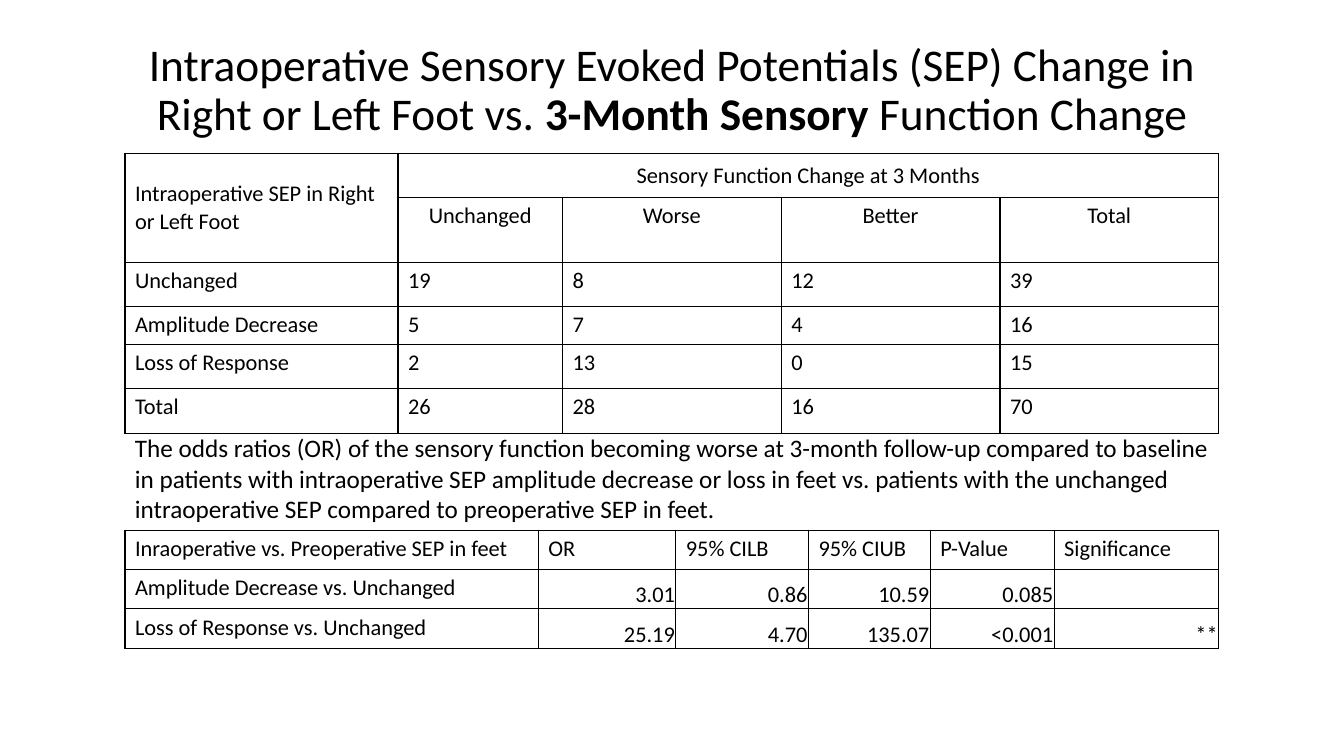
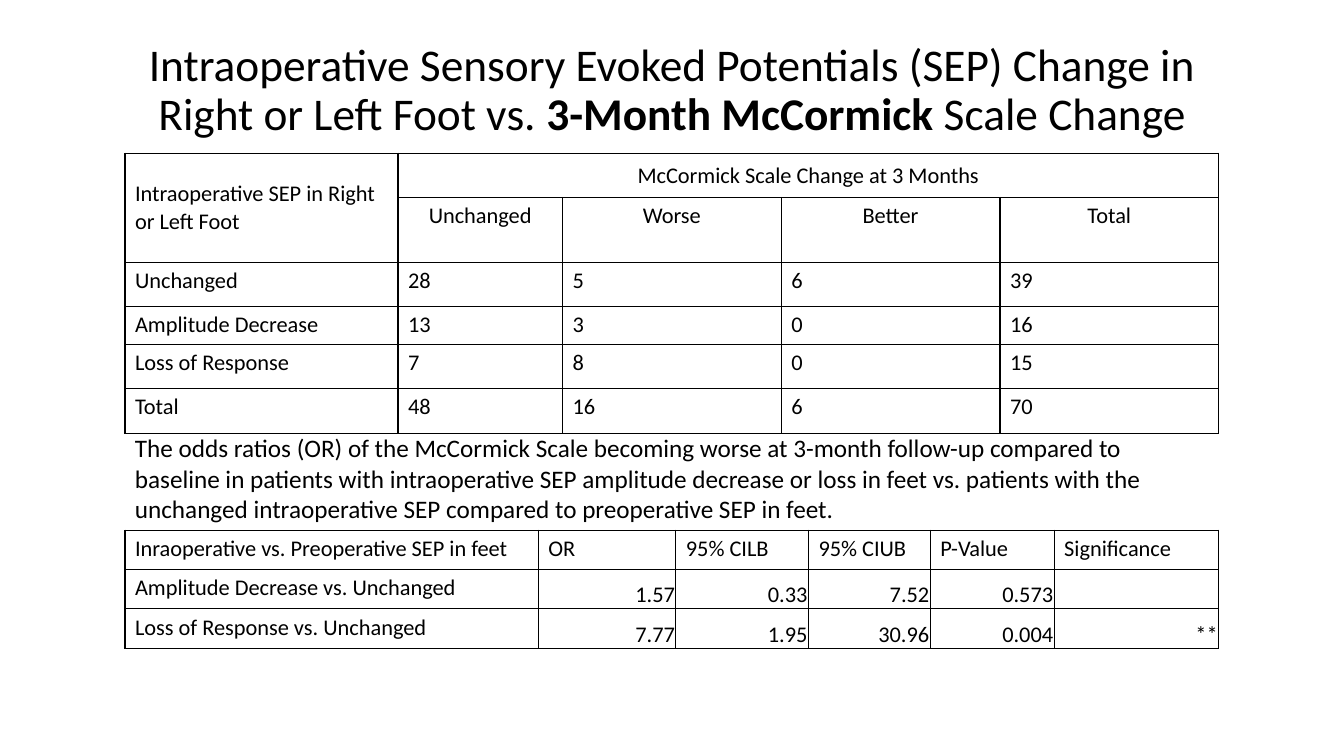
from dataclasses import dataclass

from lxml.etree import SubElement
from pptx import Presentation
from pptx.dml.color import RGBColor
from pptx.enum.text import MSO_ANCHOR as Anchor, MSO_AUTO_SIZE as AutoSize, PP_ALIGN as Align
from pptx.oxml.ns import qn
from pptx.util import Pt


@dataclass(frozen=True)
class Theme:
    font: str = "Calibri"
    ink: RGBColor = RGBColor(0, 0, 0)
    title_size: float = 32.4
    note_size: float = 18
    table_size: float = 16
    border: float = 1


class Deck:
    def __init__(self, theme):
        self.theme = theme
        self.prs = Presentation()
        self.prs.slide_width, self.prs.slide_height = Pt(960), Pt(540)
        self.slide = None

    def style(self, paragraph, size, align=Align.LEFT):
        paragraph.alignment = align
        paragraph.font.name = self.theme.font
        paragraph.font.size = Pt(size)
        paragraph.font.color.rgb = self.theme.ink

    def add_slide(self, before, emphasis, after):
        """Start a slide whose title has a bold middle part."""
        self.slide = self.prs.slides.add_slide(self.prs.slide_layouts[5])
        title = self.slide.shapes.title
        title.left, title.top, title.width, title.height = map(Pt, (66, 21, 828, 88.5))
        frame = title.text_frame
        frame.word_wrap = True
        frame.auto_size = AutoSize.NONE
        frame.vertical_anchor = Anchor.MIDDLE
        heading = frame.paragraphs[0]
        self.style(heading, self.theme.title_size, Align.CENTER)
        heading.line_spacing = 0.9
        for text, bold in ((before, False), (emphasis, True), (after, False)):
            run = heading.add_run()
            run.text = text
            run.font.bold = bold

    def add_note(self, text, left, top, width, height):
        frame = self.slide.shapes.add_textbox(*map(Pt, (left, top, width, height))).text_frame
        frame.word_wrap = True
        frame.text = text
        self.style(frame.paragraphs[0], self.theme.note_size)

    def add_table(self, rows, left, top, widths, heights):
        box = map(Pt, (left, top, sum(widths), sum(heights)))
        table = self.slide.shapes.add_table(len(rows), len(widths), *box).table
        table.first_row = table.horz_banding = False
        for column, width in zip(table.columns, widths):
            column.width = Pt(width)
        for row, height, texts in zip(table.rows, heights, rows):
            row.height = Pt(height)
            for cell, text in zip(row.cells, texts):
                cell.text = text
                self.style(cell.text_frame.paragraphs[0], self.theme.table_size)
                cell.fill.background()
                self.add_borders(cell)
        return table

    def add_borders(self, cell):
        properties = cell._tc.get_or_add_tcPr()
        for position, side in enumerate(("a:lnL", "a:lnR", "a:lnT", "a:lnB")):
            line = SubElement(properties, qn(side), w=str(Pt(self.theme.border)))
            fill = SubElement(line, qn("a:solidFill"))
            SubElement(fill, qn("a:srgbClr"), val=str(self.theme.ink))
            properties.insert(position, line)

    def add_count_table(self, heading, counts):
        """Cross table with a two-row header."""
        header = [["Intraoperative SEP in Right or Left Foot", heading, "", "", ""],
                  ["", "Unchanged", "Worse", "Better", "Total"]]
        labels = ("Unchanged", "Amplitude Decrease", "Loss of Response", "Total")
        body = [[label, *map(str, row)] for label, row in zip(labels, counts)]
        table = self.add_table(header + body, LEFT, 109.5, (195, 117.5, *[156.25] * 3),
                               (31.5, 46.5, 31.5, 27, 31.5, 32))
        table.cell(0, 0).merge(table.cell(1, 0))
        table.cell(0, 1).merge(table.cell(0, 4))
        for column in (0, 1):
            table.cell(0, column).vertical_anchor = Anchor.MIDDLE
        for row, column in ((0, 1), (1, 1), (1, 2), (1, 3), (1, 4)):
            table.cell(row, column).text_frame.paragraphs[0].alignment = Align.CENTER

    def add_odds_table(self, odds):
        """Odds ratios, with figures set tight in the lower right corner."""
        header = ["Inraoperative vs. Preoperative SEP in feet", "OR", "95% CILB",
                  "95% CIUB", "P-Value", "Significance"]
        labels = ("Amplitude Decrease vs. Unchanged", "Loss of Response vs. Unchanged")
        rows = [header] + [[label, *figures] for label, figures in zip(labels, odds)]
        table = self.add_table(rows, LEFT, 378.75, (295.25, 98.25, 94.75, 87, 88.5, 117.5),
                               [28.1] * 3)
        for row in (1, 2):
            for column in range(1, len(header)):
                cell = table.cell(row, column)
                cell.vertical_anchor = Anchor.BOTTOM
                cell.margin_left = cell.margin_right = cell.margin_top = Pt(0.7)
                cell.margin_bottom = Pt(0)
                cell.text_frame.paragraphs[0].alignment = Align.RIGHT


LEFT, WIDTH = 89.25, 781.25
deck = Deck(Theme())

# What differs between the outcomes
outcomes = (
    dict(emphasis="3-Month Sensory ", ending="Function Change",
         heading="Sensory Function Change at 3 Months", measure="sensory function",
         counts=((19, 8, 12, 39), (5, 7, 4, 16), (2, 13, 0, 15), (26, 28, 16, 70)),
         odds=(("3.01", "0.86", "10.59", "0.085", ""),
               ("25.19", "4.70", "135.07", "<0.001", "**"))),
    dict(emphasis="3-Month McCormick", ending=" Scale Change",
         heading="McCormick Scale Change at 3 Months", measure="McCormick Scale",
         counts=((28, 5, 6, 39), (13, 3, 0, 16), (7, 8, 0, 15), (48, 16, 6, 70)),
         odds=(("1.57", "0.33", "7.52", "0.573", ""),
               ("7.77", "1.95", "30.96", "0.004", "**"))),
)

# One slide per outcome
for outcome in outcomes:
    deck.add_slide("Intraoperative Sensory Evoked Potentials (SEP) Change in "
                   "Right or Left Foot vs. ", outcome["emphasis"], outcome["ending"])
    deck.add_count_table(outcome["heading"], outcome["counts"])
    deck.add_note(f"The odds ratios (OR) of the {outcome['measure']} becoming worse at 3-month "
                  "follow-up compared to baseline in patients with intraoperative SEP amplitude "
                  "decrease or loss in feet vs. patients with the unchanged intraoperative SEP "
                  "compared to preoperative SEP in feet.", LEFT, 305.5, WIDTH, 72.75)
    deck.add_odds_table(outcome["odds"])

deck.prs.save("out.pptx")
